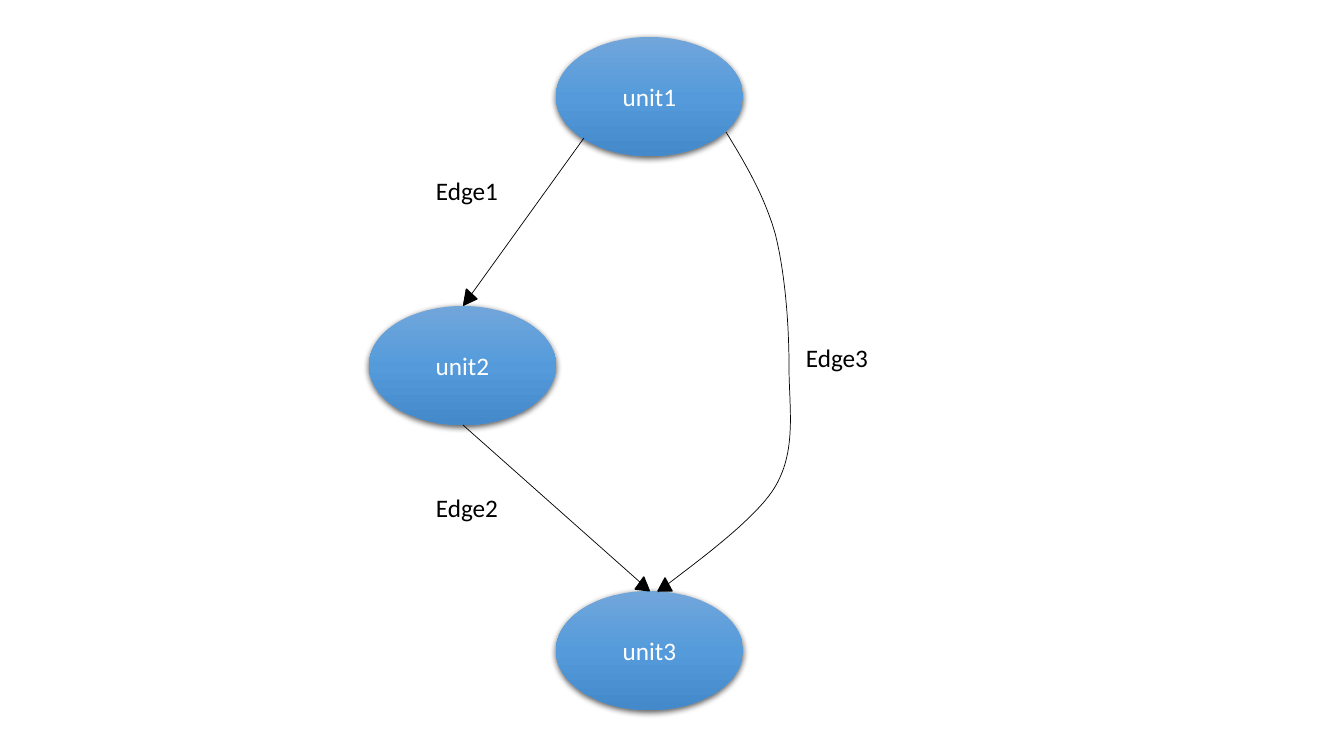
from pptx import Presentation
from pptx.dml.color import RGBColor as RGB
from pptx.enum.shapes import MSO_CONNECTOR as CONN, MSO_SHAPE as SHAPE
from pptx.enum.text import MSO_ANCHOR as ANCHOR, MSO_AUTO_SIZE as AUTO, PP_ALIGN as ALIGN
from pptx.oxml import parse_xml
from pptx.oxml.ns import nsdecls
from pptx.util import Pt

COLORS = {"ink": "000000", "white": "FFFFFF",
          "top": "71A6DB", "mid": "559BDB", "low": "448ACA"}
UNITS = [("unit1", 556, 37), ("unit2", 369, 306), ("unit3", 556, 591)]
SIZE = (187, 119)
EDGES = [((584, 138), (463, 306)), ((463, 425), (650, 591))]
CURVE = [(726, 132), (745, 163), (764, 195), (775, 233),
         (785, 272), (789, 324), (789, 366),
         (789, 408), (797, 450), (775, 487),
         (753, 524), (674, 578), (658, 592)]
HEADS = [(658, 578, 14, 13, 0), (636, 577, 14, 13, 7.4), (463, 292, 16, 12, 99.1)]
LABELS = [("Edge1", 426, 170), ("Edge2", 426, 487), ("Edge3", 796, 337)]
STEPS = 24
SCALE = 914400 / 100.8


def emu(*vals):
    return [round(val * SCALE) for val in vals]


def color(name):
    return RGB.from_string(COLORS[name])


def xml(tag, body="", attrs=""):
    return parse_xml(f"<a:{tag} {nsdecls('a')} {attrs}>{body}</a:{tag}>")


def write(frame, text, name):
    para = frame.paragraphs[0]
    run = para.add_run()
    run.text = text
    run.font.size = Pt(18)
    run.font.name = "Calibri"
    run.font.color.rgb = color(name)
    return para


def stroke(line, width):
    line.color.rgb = color("ink")
    line.width = Pt(width)


def bezier(pts, t):
    parts = ((1 - t) ** 3, 3 * t * (1 - t) ** 2, 3 * t * t * (1 - t), t ** 3)
    return tuple(emu(*(sum(w * v for w, v in zip(parts, axis)) for axis in zip(*pts))))


prs = Presentation()
prs.slide_width, prs.slide_height = emu(1344, 756)
slide = prs.slides.add_slide(prs.slide_layouts[6])
shapes = slide.shapes

stops = "".join(f'<a:gs pos="{pos}"><a:srgbClr val="{COLORS[name]}"/></a:gs>'
                for pos, name in ((0, "top"), (50000, "mid"), (100000, "low")))
GRAD = f'<a:gsLst>{stops}</a:gsLst><a:lin ang="5400000" scaled="0"/>'
SHADE = ('<a:outerShdw blurRad="57150" dist="19050" dir="5400000" algn="ctr" rotWithShape="0">'
         f'<a:srgbClr val="{COLORS["ink"]}"><a:alpha val="63000"/></a:srgbClr></a:outerShdw>')

for text, x, y in UNITS:
    node = shapes.add_shape(SHAPE.OVAL, *emu(x, y, *SIZE))
    props = node.element.spPr
    props.append(xml("gradFill", GRAD, 'rotWithShape="1"'))
    node.line.fill.background()
    props.append(xml("effectLst", SHADE))
    node.text_frame.vertical_anchor = ANCHOR.MIDDLE
    write(node.text_frame, text, "white").alignment = ALIGN.CENTER

for start, end in EDGES:
    edge = shapes.add_connector(CONN.STRAIGHT, *emu(*start, *end))
    stroke(edge.line, 0.5)
    edge.line._get_or_add_ln().append(xml("tailEnd", attrs='type="triangle"'))
    edge.element.spPr.append(xml("effectLst"))

dots = [bezier(CURVE[i:i + 4], step / STEPS)
        for i in range(0, len(CURVE) - 1, 3) for step in range(1, STEPS + 1)]
path = shapes.build_freeform(*emu(*CURVE[0]))
path.add_line_segments(dots, close=False)
curve = path.convert_to_shape()
curve.fill.background()
curve.shadow.inherit = False
stroke(curve.line, 0.5)

for x, y, w, h, turn in HEADS:
    head = shapes.add_shape(SHAPE.ISOSCELES_TRIANGLE, *emu(x, y, w, h))
    head.rotation = turn
    head.shadow.inherit = False
    head.fill.solid()
    head.fill.fore_color.rgb = color("ink")
    stroke(head.line, 1)

for text, x, y in LABELS:
    frame = shapes.add_textbox(*emu(x, y, 104, 56)).text_frame
    frame.word_wrap = False
    frame.auto_size = AUTO.SHAPE_TO_FIT_TEXT
    write(frame, text, "ink")

prs.save("out.pptx")
